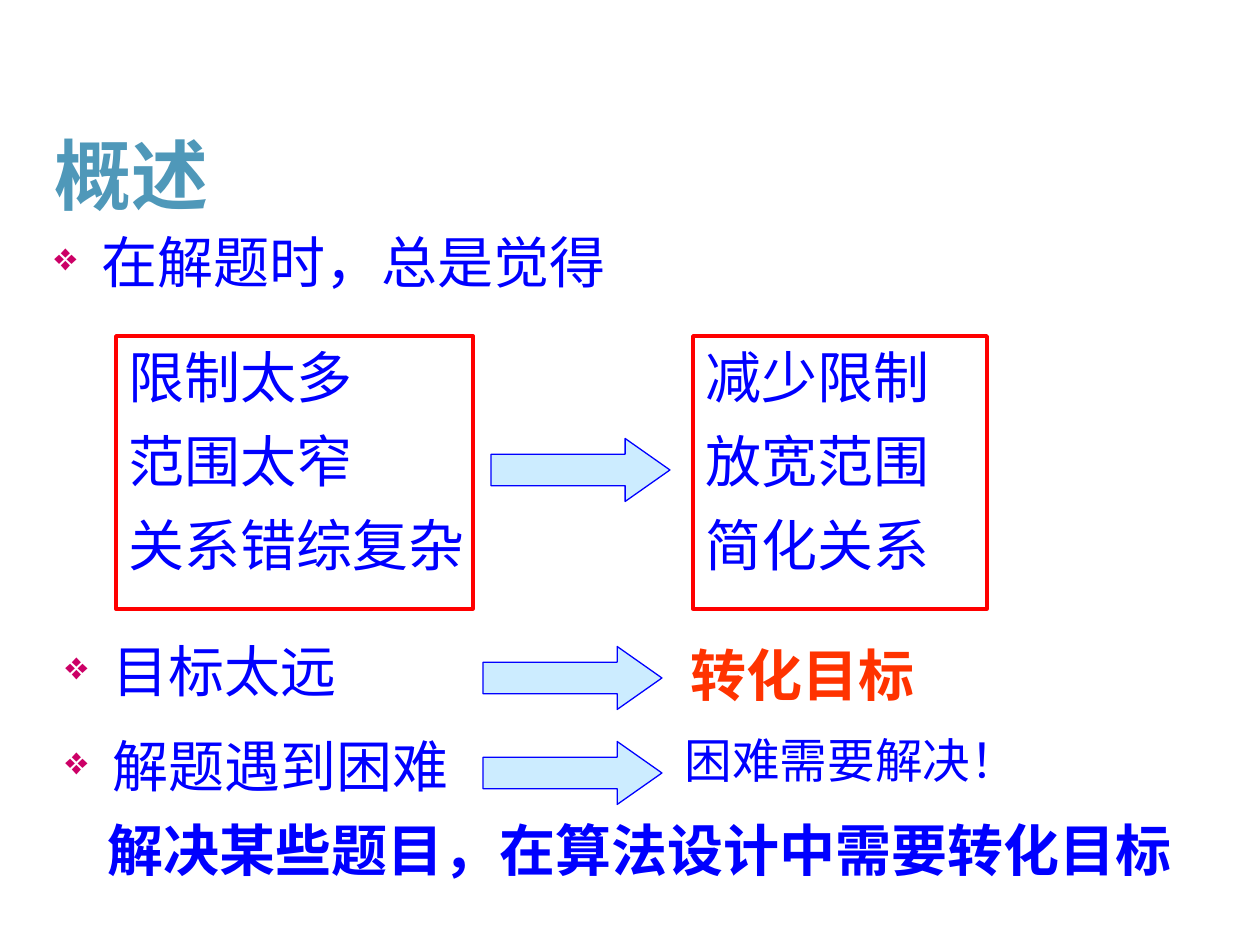
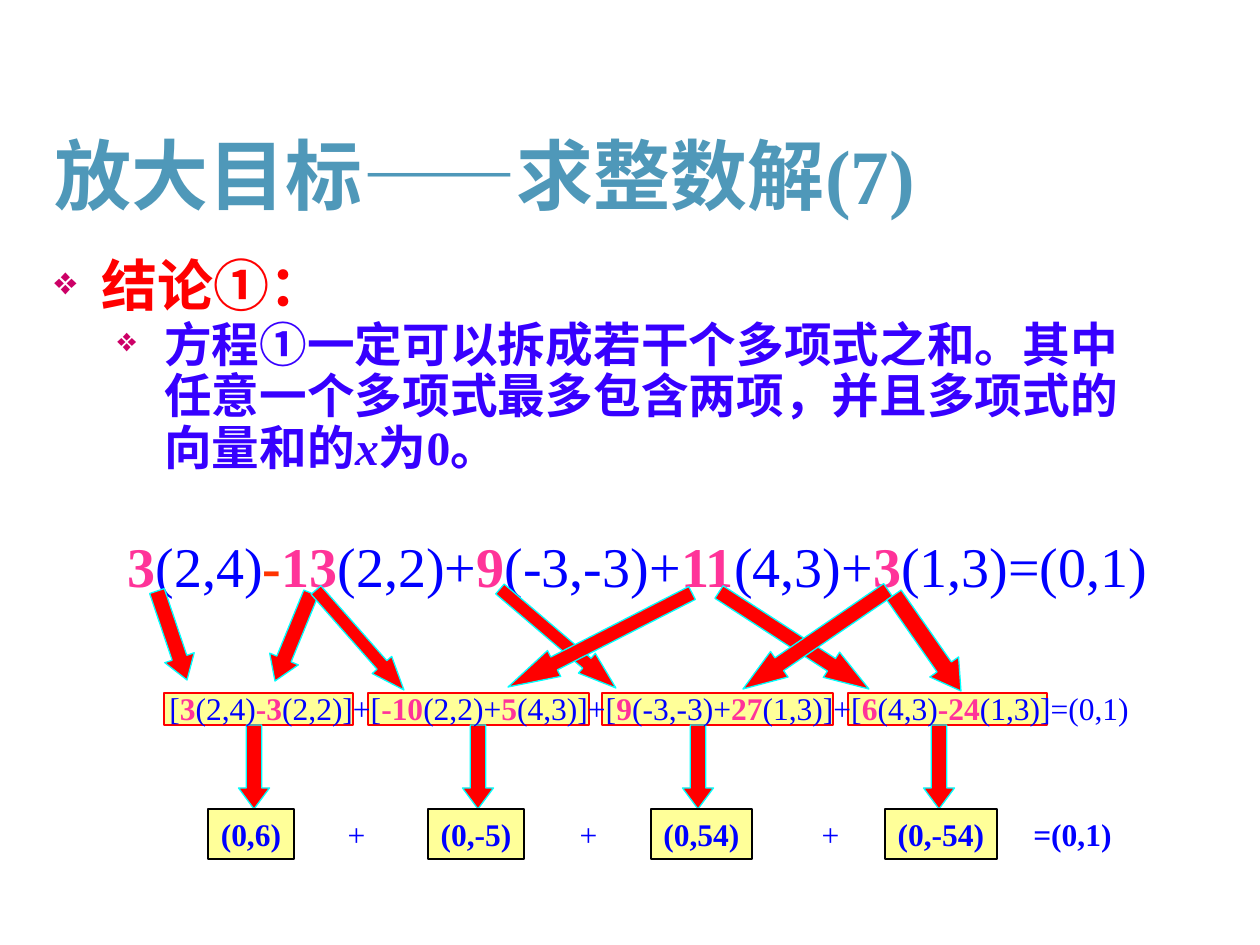
from math import atan2, degrees, hypot

from lxml.etree import SubElement
from pptx import Presentation
from pptx.dml.color import RGBColor
from pptx.enum.shapes import MSO_SHAPE
from pptx.enum.text import MSO_ANCHOR, MSO_AUTO_SIZE, PP_ALIGN
from pptx.oxml.ns import qn
from pptx.util import Emu, Pt

PX_PER_INCH = 126
BLUE, RED, PINK, ORANGE = "0000FF", "FF0000", "FF3399", "FF3300"
TEAL, VIOLET, MAGENTA = "4F98B9", "3700FF", "CC0066"
SKY, CYAN, YELLOW, BLACK = "CCECFF", "00FFFF", "FFFF99", "000000"
LATIN = "Times New Roman"

BODY = {"name": "Arial", "size": Pt(32), "color": BLUE, "bold": False}
BIG = {**BODY, "name": LATIN}
STRONG = {**BIG, "bold": True}
SMALL = {**BIG, "size": Pt(18)}
SUM = {**SMALL, "bold": True}
SUBPOINT = {**STRONG, "size": Pt(27.2), "color": VIOLET}
TITLE = {**STRONG, "size": Pt(44), "color": TEAL}
TITLE_BOX = (42, 95, 1177, 158)
SPACED = {"space_before": Pt(8)}
TIGHT = {**SPACED, "line_spacing": 0.9}
CENTERED = {"alignment": PP_ALIGN.CENTER}

OVERVIEW_TITLE = "概述"
FRAMES = [
    (116, 357, ["限制太多", "范围太窄", "关系错综复杂"]),
    (693, 294, ["减少限制", "放宽范围", "简化关系"]),
]
FRAME_TOP, FRAME_HEIGHT, FRAME_STEP = 336, 273, 84
POINTS = [
    ("在解题时，总是觉得", (42, 221, 1177, 84)),
    ("目标太远", (53, 630, 326, 95)),
    ("解题遇到困难", (53, 725, 410, 95)),
]
REMARKS = [
    ("困难需要解决！", (672, 725, 473, 73), {**BODY, "size": Pt(27.2)}, SPACED),
    ("转化目标", (672, 634, 262, 81), {**STRONG, "color": ORANGE}, CENTERED),
    ("解决某些题目，在算法设计中需要转化目标", (95, 809, 1166, 81), STRONG,
     {"space_before": Pt(20)}),
]
STEPS = [(483, 773), (483, 678), (491, 470)]
STEP_LENGTH, STEP_WIDTH = 179, 63

SOLUTION_TITLE = "放大目标——求整数解(7)"
CONCLUSION = "结论①："
STATEMENT = [
    ("方程①一定可以拆成若干个多项式之和。其中任意一个多项式最多包含两项，并且多项式的向量和的", {}),
    ("x", {"italic": True}),
    ("为0。", {}),
]
KEY = {"color": PINK, "bold": True}
MINUS = {"color": ORANGE, "bold": True}
EQUATION = [
    ("3", KEY), ("(2,4)", {}), ("-", MINUS), ("13", KEY), ("(2,2)+", {}),
    ("9", KEY), ("(-3,-3)+", {}), ("11", KEY), ("(4,3)+", {}),
    ("3", KEY), ("(1,3)=(0,1)", {}),
]
SPLIT = [
    ("[", {}), ("3", KEY), ("(2,4)", {}), ("-3", KEY), ("(2,2)]+[", {}),
    ("-10", KEY), ("(2,2)+", {}), ("5", KEY), ("(4,3)]+[", {}),
    ("9", KEY), ("(-3,-3)+", {}), ("27", KEY), ("(1,3)]+[", {}),
    ("6", KEY), ("(4,3)", {}), ("-24", KEY), ("(1,3)]=(0,1)", {}),
]
GROUPS = [
    ("(0,6)", 164, 189, 254, 208, 86),
    ("(0,-5)", 368, 221, 478, 428, 96),
    ("(0,54)", 602, 231, 698, 651, 101),
    ("(0,-54)", 848, 199, 939, 885, 112),
]
GROUP_TOP, GROUP_HEIGHT, SUM_TOP, SUM_HEIGHT = 693, 32, 809, 50
SUM_SIGNS = [("+", 335, 43, SMALL), ("+", 567, 43, SMALL),
             ("+", 809, 43, SMALL), ("=(0,1)", 1021, 103, SUM)]
LINKS = [
    ((157, 591), (187, 680), 31),
    ((500, 589), (616, 688), 26),
    ((311, 593), (275, 681), 31),
    ((316, 590), (404, 690), 26),
    ((692, 593), (508, 687), 29),
    ((719, 592), (869, 689), 30),
    ((888, 590), (743, 689), 31),
    ((894, 595), (961, 691), 35),
]


def px(length):
    return Emu(round(length * 914400 / PX_PER_INCH))


def rgb(code):
    return RGBColor.from_string(code)


def apply(target, values):
    for name, value in values.items():
        if name == "color":
            target.color.rgb = rgb(value)
        else:
            setattr(target, name, value)


def write(holder, content, style, layout, bullet=False):
    paragraph = holder.text_frame.paragraphs[0]
    apply(paragraph, layout)
    runs = [(content, {})] if isinstance(content, str) else content
    for words, change in runs:
        run = paragraph.add_run()
        run.text = words
        apply(run.font, {**style, **change})
    if bullet:
        properties = paragraph._p.get_or_add_pPr()
        properties.set("marL", str(px(47)))
        properties.set("indent", str(-px(47)))
        color = SubElement(properties, qn("a:buClr"))
        SubElement(color, qn("a:srgbClr"), val=MAGENTA)
        SubElement(properties, qn("a:buSzPct"), val="70000")
        SubElement(properties, qn("a:buChar"), char="❖")


def add_text(slide, content, box, style, layout, bullet=False):
    holder = slide.shapes.add_textbox(*map(px, box))
    holder.text_frame.word_wrap = True
    write(holder, content, style, layout, bullet)
    return holder


def trim_sides(holder):
    apply(holder.text_frame, {"margin_left": 0, "margin_right": 0})


def add_preset(slide, preset, box, fill, line, weight=0.75):
    shape = slide.shapes.add_shape(preset, *map(px, box))
    shape.shadow.inherit = False
    if fill:
        shape.fill.solid()
        shape.fill.fore_color.rgb = rgb(fill)
    else:
        shape.fill.background()
    apply(shape.line, {"color": line, "width": Pt(weight)})
    return shape


def add_arrow(slide, tail, tip, width, fill, line):
    run, rise = tip[0] - tail[0], tip[1] - tail[1]
    length = hypot(run, rise)
    if rise == 0:
        preset, size, turn = MSO_SHAPE.RIGHT_ARROW, (length, width), 0
    else:
        preset, size = MSO_SHAPE.DOWN_ARROW, (width, length)
        turn = degrees(atan2(rise, run)) - 90
    corner = [(a + b - extent) / 2 for a, b, extent in zip(tail, tip, size)]
    arrow = add_preset(slide, preset, (*corner, *size), fill, line)
    arrow.adjustments[1] = length / width / 4
    arrow.rotation = turn


def add_titled_slide(deck, heading, style):
    slide = deck.slides.add_slide(deck.slide_layouts[5])
    title = slide.shapes.title
    apply(title, dict(zip(("left", "top", "width", "height"), map(px, TITLE_BOX))))
    apply(title.text_frame, {"vertical_anchor": MSO_ANCHOR.MIDDLE,
                             "auto_size": MSO_AUTO_SIZE.NONE, "word_wrap": True})
    write(title, heading, style, {"alignment": PP_ALIGN.LEFT})
    return slide


def build_overview(deck):
    slide = add_titled_slide(deck, OVERVIEW_TITLE, {**TITLE, "name": "Arial"})
    for point, box in POINTS:
        add_text(slide, point, box, BODY, SPACED, bullet=True)
    for left, width, lines in FRAMES:
        for row, words in enumerate(lines):
            box = (left, FRAME_TOP + row * FRAME_STEP, 451, FRAME_STEP)
            add_text(slide, words, box, BODY, SPACED)
        add_preset(slide, MSO_SHAPE.RECTANGLE,
                   (left, FRAME_TOP, width, FRAME_HEIGHT), None, RED, 2)
    for remark, box, style, layout in REMARKS:
        add_text(slide, remark, box, style, layout)
    for left, middle in STEPS:
        add_arrow(slide, (left, middle), (left + STEP_LENGTH, middle),
                  STEP_WIDTH, SKY, BLUE)


def build_solution(deck):
    slide = add_titled_slide(deck, SOLUTION_TITLE, TITLE)
    group_bottom = GROUP_TOP + GROUP_HEIGHT
    for total, left, width, center, sum_left, sum_width in GROUPS:
        add_preset(slide, MSO_SHAPE.RECTANGLE,
                   (left, GROUP_TOP, width, GROUP_HEIGHT), YELLOW, RED)
        add_arrow(slide, (center, group_bottom), (center, SUM_TOP), 31, RED, CYAN)
        result = add_preset(slide, MSO_SHAPE.RECTANGLE,
                            (sum_left, SUM_TOP, sum_width, SUM_HEIGHT), YELLOW, BLACK)
        trim_sides(result)
        write(result, total, SUM, CENTERED)
    add_text(slide, CONCLUSION, (42, 252, 357, 73), {**STRONG, "color": RED},
             TIGHT, bullet=True)
    add_text(slide, STATEMENT, (105, 315, 1071, 199), SUBPOINT, TIGHT, bullet=True)
    add_text(slide, EQUATION, (115, 525, 1090, 81), BIG, {})
    add_text(slide, SPLIT, (157, 683, 1010, 50), SMALL, {})
    for tail, tip, width in LINKS:
        add_arrow(slide, tail, tip, width, RED, CYAN)
    for sign, left, width, style in SUM_SIGNS:
        holder = add_text(slide, sign, (left, SUM_TOP, width, SUM_HEIGHT),
                          style, CENTERED)
        trim_sides(holder)


def main():
    deck = Presentation()
    deck.slide_width, deck.slide_height = px(1260), px(945)
    build_overview(deck)
    build_solution(deck)
    deck.save("out.pptx")


if __name__ == "__main__":
    main()
